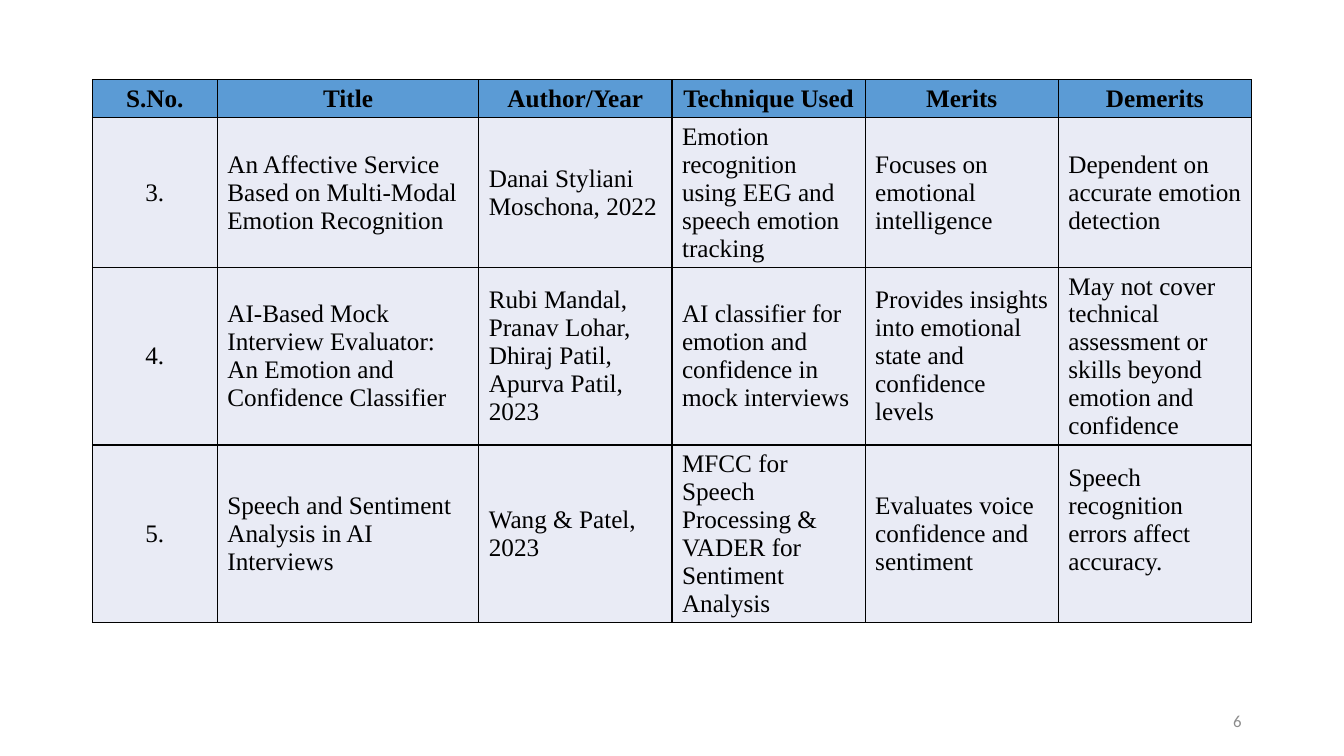
from lxml import etree
from pptx import Presentation
from pptx.dml.color import RGBColor
from pptx.enum.text import MSO_ANCHOR, PP_ALIGN
from pptx.util import Pt

PX = 9525
LEFT, CENTER, RIGHT = PP_ALIGN.LEFT, PP_ALIGN.CENTER, PP_ALIGN.RIGHT
MIDDLE = MSO_ANCHOR.MIDDLE
DRAWING = "http://schemas.openxmlformats.org/drawingml/2006/main"
COLORS = {"ink": "000000", "header": "5B9BD5", "body": "E9EBF5", "number": "8C8C8C"}

COLUMN_WIDTHS = [119, 249, 184, 184, 184, 184]
ROW_HEIGHTS = [36, 142, 169, 169]
PAPERS = [
    ["S.No.", "Title", "Author/Year", "Technique Used", "Merits", "Demerits"],
    ["3.", "An Affective Service Based on Multi-Modal Emotion Recognition",
     "Danai Styliani Moschona, 2022",
     "Emotion recognition using EEG and speech emotion tracking",
     "Focuses on emotional intelligence",
     "Dependent on accurate emotion detection"],
    ["4.", "AI-Based Mock Interview Evaluator: An Emotion and Confidence Classifier",
     "Rubi Mandal, Pranav Lohar, Dhiraj Patil, Apurva Patil, 2023",
     "AI classifier for emotion and confidence in mock interviews",
     "Provides insights into emotional state and confidence levels",
     "May not cover technical assessment or skills beyond emotion and confidence"],
    ["5.", "Speech and Sentiment Analysis in AI Interviews",
     "Wang & Patel, 2023",
     "MFCC for Speech Processing & VADER for Sentiment Analysis",
     "Evaluates voice confidence and sentiment",
     "Speech recognition errors affect accuracy."],
]


def px(length):
    return length * PX


def write_text(frame, text, size=18, font="Times New Roman", color="ink", bold=False, align=LEFT):
    frame.word_wrap = True
    para = frame.paragraphs[0]
    para.alignment = align
    span = para.add_run()
    span.text = text
    span.font.size = Pt(size)
    span.font.name = font
    span.font.bold = bold
    span.font.color.rgb = RGBColor.from_string(COLORS[color])


def add_borders(cell):
    properties = cell._tc.get_or_add_tcPr()
    for position, side in enumerate(["lnL", "lnR", "lnT", "lnB"]):
        line = etree.Element(f"{{{DRAWING}}}{side}", w=str(Pt(1)))
        fill = etree.SubElement(line, f"{{{DRAWING}}}solidFill")
        etree.SubElement(fill, f"{{{DRAWING}}}srgbClr", val=COLORS["ink"])
        properties.insert(position, line)


def add_paper_table(page, left, top):
    frame = page.shapes.add_table(
        len(PAPERS), len(COLUMN_WIDTHS), px(left), px(top),
        px(sum(COLUMN_WIDTHS)), px(sum(ROW_HEIGHTS)))
    table = frame.table
    for column, width in zip(table.columns, COLUMN_WIDTHS):
        column.width = px(width)
    for row_index, (height, texts) in enumerate(zip(ROW_HEIGHTS, PAPERS)):
        table.rows[row_index].height = px(height)
        is_header = row_index == 0
        for column_index, text in enumerate(texts):
            cell = table.cell(row_index, column_index)
            cell.vertical_anchor = MIDDLE
            cell.fill.solid()
            cell.fill.fore_color.rgb = RGBColor.from_string(
                COLORS["header" if is_header else "body"])
            add_borders(cell)
            write_text(cell.text_frame, text, bold=is_header,
                       align=CENTER if is_header or column_index == 0 else LEFT)
    last_demerit = table.cell(len(PAPERS) - 1, len(COLUMN_WIDTHS) - 1)
    last_demerit.margin_bottom = px(31)


def add_page_number(page, left, top, width, height):
    box = page.shapes.add_textbox(px(left), px(top), px(width), px(height))
    box.text_frame.vertical_anchor = MIDDLE
    write_text(box.text_frame, "6", size=12, font="Calibri", color="number", align=RIGHT)


def main():
    deck = Presentation()
    deck.slide_width, deck.slide_height = px(1280), px(720)
    page = deck.slides.add_slide(deck.slide_layouts[6])
    add_paper_table(page, 88, 76)
    add_page_number(page, 904, 667, 288, 38)
    deck.save("out.pptx")


if __name__ == "__main__":
    main()
